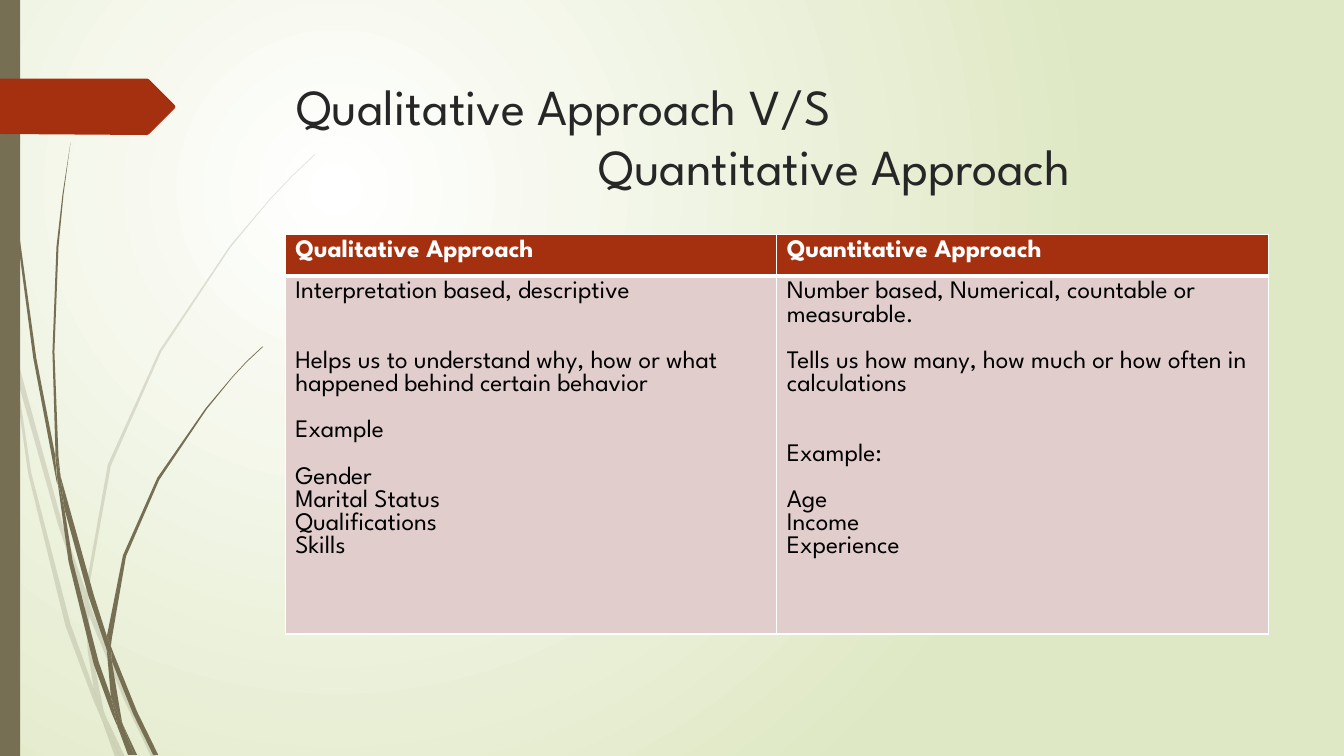
from lxml import etree
from pptx import Presentation
from pptx import util as u
from pptx.dml.color import RGBColor
from pptx.enum import shapes, text
from pptx.oxml import ns

FONT = "League Spartan"
OLIVE, RUST, ROSE = "766F54", "A53010", "E1CDCC"
WHITE, BLACK, CHARCOAL, SAGE = "FFFFFF", "000000", "262626", "DFE8C4"
BLANK_LINE = 16.5

PALE_STALKS = [
    [(11, 350), (9, 322), (0, 282), (0, 299), (10, 344)],
    [(58, 522), (84, 599), (85, 586), (62, 520), (14, 345), (17, 376)],
    [(92, 607), (88, 596), (88, 610), (123, 694), (150, 751), (155, 751), (127, 692)],
    [(119, 751), (124, 751), (105, 711)],
    [(93, 683), (70, 619), (31, 469), (17, 376), (11, 350), (28, 470), (65, 621),
     (92, 693), (101, 714), (99, 707)],
    [(84, 599), (87, 646), (93, 683), (96, 692), (105, 711), (103, 706), (91, 646),
     (88, 610), (88, 608)],
    [(88, 584), (110, 462), (160, 349), (229, 245), (268, 198), (290, 175), (312, 154),
     (312, 153), (289, 175), (268, 197), (228, 244), (158, 348), (107, 461), (85, 584),
     (85, 586), (88, 596)],
    [(101, 714), (114, 751), (119, 751)],
    [(88, 608), (88, 610), (88, 596), (85, 586), (84, 599)],
    [(96, 692), (93, 683), (99, 707), (101, 714), (119, 751), (105, 711)],
]

DARK_STALKS = [
    [(7, 110), (17, 233), (33, 355), (56, 477), (57, 481), (55, 457), (55, 453),
     (36, 355), (19, 232), (8, 109), (5, 48), (4, 0), (3, 0), (4, 48)],
    [(88, 592), (106, 645), (106, 633), (106, 631), (93, 590), (60, 472), (64, 505)],
    [(113, 649), (110, 641), (111, 656), (132, 708), (152, 749), (157, 749), (136, 706)],
    [(110, 691), (98, 657), (72, 556), (64, 505), (57, 477), (68, 557), (93, 659),
     (111, 708), (117, 722), (116, 717)],
    [(60, 472), (58, 453), (54, 349), (58, 245), (63, 193), (70, 141), (62, 193),
     (56, 245), (52, 349), (55, 449)],
    [(133, 749), (136, 749), (122, 719)],
    [(57, 477), (64, 505), (60, 472), (55, 449), (55, 453)],
    [(111, 633), (125, 552), (158, 476), (205, 406), (231, 374), (245, 359), (261, 344),
     (260, 344), (245, 358), (231, 373), (204, 405), (156, 474), (122, 551), (106, 631),
     (110, 641)],
    [(117, 722), (127, 749), (131, 749)],
    [(106, 645), (110, 691), (116, 706), (122, 719), (121, 716), (111, 656), (109, 651)],
    [(106, 645), (109, 651), (111, 656), (110, 641), (106, 631), (106, 633)],
    [(116, 706), (110, 691), (116, 717), (117, 722), (130, 749), (133, 749), (122, 719)],
]

ARROW_TAB = [(173, 108), (148, 133), (146, 134), (0, 133), (0, 78), (146, 78), (148, 79),
             (173, 104), (174, 106)]

TITLE = [("Qualitative Approach V/S", 0), ("Quantitative Approach", 3)]

COLUMNS = [
    ("Qualitative Approach", [
        ("Interpretation based, descriptive", 0),
        ("Helps us to understand why, how or what happened behind certain behavior", 2),
        ("Example", 1), ("Gender", 1), ("Marital Status", 0), ("Qualifications", 0),
        ("Skills", 0)]),
    ("Quantitative Approach", [
        ("Number based, Numerical, countable or measurable.", 0),
        ("Tells us how many, how much or how often in calculations", 1),
        ("Example:", 2), ("Age", 1), ("Income", 0), ("Experience", 0)]),
]


def color(value):
    return RGBColor.from_string(value)


class SlideBuilder:
    def __init__(self, slide, font):
        self.slide = slide
        self.font = font

    def background(self, inner, outer):
        fill = self.slide.background.fill
        fill.gradient()
        for stop, value, position in zip(fill.gradient_stops, (inner, outer), (0, 1)):
            stop.color.rgb = color(value)
            stop.position = position
        linear = next(self.slide.element.iter(ns.qn("a:lin")))
        radial = etree.Element(ns.qn("a:path"), {"path": "circle"})
        etree.SubElement(radial, ns.qn("a:fillToRect"),
                         {"l": "50000", "t": "50000", "r": "100000", "b": "100000"})
        linear.getparent().replace(linear, radial)

    def paint(self, shape, fill, opacity=100):
        shape.shadow.inherit = False
        shape.line.fill.background()
        shape.fill.solid()
        shape.fill.fore_color.rgb = color(fill)
        if opacity < 100:
            value = next(shape.element.spPr.iter(ns.qn("a:srgbClr")))
            etree.SubElement(value, ns.qn("a:alpha"), {"val": str(opacity * 1000)})

    def outline(self, points, fill, opacity=100, parent=None):
        target = (parent or self.slide).shapes
        builder = target.build_freeform(*points[0], scale=u.Inches(0.01))
        builder.add_line_segments(points[1:], close=True)
        self.paint(builder.convert_to_shape(), fill, opacity)

    def stalks(self, outlines, fill, opacity=100):
        group = self.slide.shapes.add_group_shape()
        for points in outlines:
            self.outline(points, fill, opacity, group)

    def rectangle(self, left, top, width, height, fill):
        shape = self.slide.shapes.add_shape(
            shapes.MSO_SHAPE.RECTANGLE, *map(u.Inches, (left, top, width, height)))
        self.paint(shape, fill)

    def style(self, paragraph, size, value, bold=False):
        font = paragraph.font
        font.name, font.size, font.bold = self.font, u.Pt(size), bold
        font.color.rgb = color(value)

    def title(self, left, top, width, height, lines):
        box = self.slide.shapes.add_textbox(*map(u.Inches, (left, top, width, height)))
        frame = box.text_frame
        frame.word_wrap = True
        frame.vertical_anchor = text.MSO_ANCHOR.TOP
        for index, (words, indent) in enumerate(lines):
            paragraph = frame.add_paragraph() if index else frame.paragraphs[0]
            paragraph.text = words
            paragraph.line_spacing = u.Pt(43)
            paragraph._p.get_or_add_pPr().set("marL", str(u.Inches(indent)))
            self.style(paragraph, 36, CHARCOAL)

    def cell(self, cell, lines, fill, value, bold=False, bottom=1):
        properties = cell._tc.get_or_add_tcPr()
        for side, width in (("L", 1), ("R", 1), ("T", 1), ("B", bottom)):
            line = etree.SubElement(properties, ns.qn(f"a:ln{side}"), {"w": str(u.Pt(width))})
            solid = etree.SubElement(line, ns.qn("a:solidFill"))
            etree.SubElement(solid, ns.qn("a:srgbClr"), {"val": WHITE})
        cell.fill.solid()
        cell.fill.fore_color.rgb = color(fill)
        for index, (words, gap) in enumerate(lines):
            frame = cell.text_frame
            paragraph = frame.add_paragraph() if index else frame.paragraphs[0]
            paragraph.text = words
            paragraph.space_before = u.Pt(gap * BLANK_LINE)
            self.style(paragraph, 18, value, bold)

    def table(self, left, top, width, row_heights, columns):
        frame = self.slide.shapes.add_table(
            len(row_heights), len(columns),
            *map(u.Inches, (left, top, width, sum(row_heights))))
        table = frame.table
        for row, height in zip(table.rows, row_heights):
            row.height = u.Inches(height)
        for index, (heading, lines) in enumerate(columns):
            self.cell(table.cell(0, index), [(heading, 0)], RUST, WHITE, True, 3)
            self.cell(table.cell(1, index), lines, ROSE, BLACK)


def main():
    presentation = Presentation()
    presentation.slide_width = u.Inches(13.33)
    presentation.slide_height = u.Inches(7.5)
    slide = presentation.slides.add_slide(presentation.slide_layouts[6])
    builder = SlideBuilder(slide, FONT)
    builder.background(WHITE, SAGE)
    builder.stalks(PALE_STALKS, OLIVE, 20)
    builder.stalks(DARK_STALKS, OLIVE)
    builder.rectangle(0, 0, 0.2, 7.5, OLIVE)
    builder.outline(ARROW_TAB, RUST)
    builder.title(2.84, 0.7, 9.75, 1.4, TITLE)
    builder.table(2.83, 2.33, 9.75, (0.41, 3.55), COLUMNS)
    presentation.save("out.pptx")


if __name__ == "__main__":
    main()
